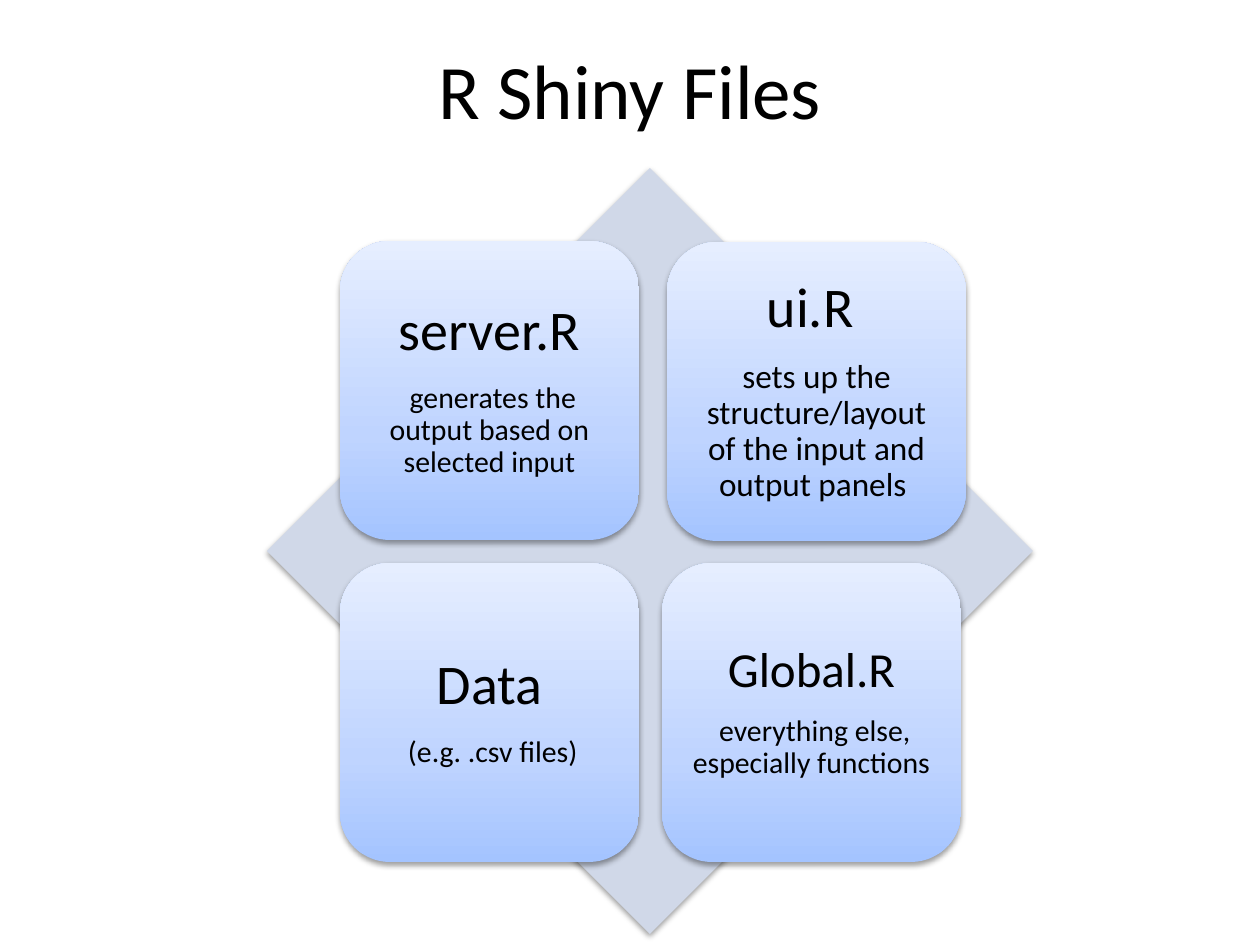
from copy import deepcopy

from lxml import etree
from pptx import Presentation
from pptx.dml.color import RGBColor
from pptx.enum.shapes import MSO_SHAPE
from pptx.enum.text import MSO_ANCHOR, PP_ALIGN
from pptx.oxml.ns import qn
from pptx.util import Inches, Pt

DIAMOND = MSO_SHAPE.DIAMOND
ROUNDED = MSO_SHAPE.ROUNDED_RECTANGLE
MIDDLE = MSO_ANCHOR.MIDDLE
CENTER = PP_ALIGN.CENTER

BLACK = RGBColor(0x00, 0x00, 0x00)
PALE_BLUE = RGBColor(0xD0, 0xD8, 0xE8)
CARD_STOPS = [
    (0, RGBColor(0xA4, 0xC4, 0xFF)),
    (0.35, RGBColor(0xBF, 0xD4, 0xFF)),
    (1, RGBColor(0xE6, 0xEE, 0xFF)),
]

PX = Inches(1) / 126
CARD_SIZE = 299
CARDS = [
    (340, 241, 16, "server.R", 32, " generates the output based on selected input", 17),
    (667, 242, 16, "ui.R ", 32, "sets up the structure/layout of the input and output panels ", 19),
    (340, 563, 16, "Data", 32, " (e.g. .csv files)", 17),
    (662, 563, 15, "Global.R", 28, " everything else, especially functions ", 17),
]


def px(n):
    return round(n * PX)


def set_attrs(obj, values):
    for name, value in values.items():
        setattr(obj, name, value)


class SlideBuilder:
    font = "Calibri"
    color = BLACK

    def __init__(self, prs):
        self.s = prs.slides.add_slide(prs.slide_layouts[5])

    def place(self, sp, x, y, w, h):
        set_attrs(sp, {"left": px(x), "top": px(y), "width": px(w), "height": px(h)})

    def frame(self, tf, inset):
        margins = ("margin_left", "margin_top", "margin_right", "margin_bottom")
        set_attrs(tf, {"word_wrap": True, "vertical_anchor": MIDDLE})
        set_attrs(tf, dict.fromkeys(margins, px(inset)))

    def add_text(self, p, text, size, **layout):
        set_attrs(p, {"alignment": CENTER, **layout})
        r = p.add_run()
        r.text = text
        set_attrs(r.font, {"name": self.font, "size": Pt(size)})
        r.font.color.rgb = self.color

    def title(self, text, x, y, w, h):
        sp = self.s.shapes.title
        self.place(sp, x, y, w, h)
        self.frame(sp.text_frame, 6)
        self.add_text(sp.text_frame.paragraphs[0], text, 44)

    def shadow(self, sp):
        sp.shadow.inherit = False
        effects = sp._element.spPr.find(qn("a:effectLst"))
        outer = etree.SubElement(
            effects, qn("a:outerShdw"), blurRad="40000", dist="20000", dir="5400000", rotWithShape="0"
        )
        clr = etree.SubElement(outer, qn("a:srgbClr"), val=str(BLACK))
        etree.SubElement(clr, qn("a:alpha"), val="38000")

    def shape(self, kind, x, y, size):
        sp = self.s.shapes.add_shape(kind, px(x), px(y), px(size), px(size))
        sp.line.fill.background()
        self.shadow(sp)
        return sp

    def diamond(self, x, y, size):
        sp = self.shape(DIAMOND, x, y, size)
        sp.fill.solid()
        sp.fill.fore_color.rgb = PALE_BLUE

    def gradient(self, sp):
        sp.fill.gradient()
        sp.fill.gradient_angle = 90
        first = sp._element.spPr.find(".//" + qn("a:gs"))
        first.addnext(deepcopy(first))
        for stop, (position, color) in zip(sp.fill.gradient_stops, CARD_STOPS):
            stop.position = position
            stop.color.rgb = color

    def card(self, x, y, inset, name, name_size, note, note_size):
        sp = self.shape(ROUNDED, x, y, CARD_SIZE)
        self.gradient(sp)
        tf = sp.text_frame
        self.frame(tf, inset)
        lines = [(tf.paragraphs[0], name, name_size), (tf.add_paragraph(), note, note_size)]
        for p, text, size in lines:
            self.add_text(p, text, size, line_spacing=0.9, space_after=Pt(0.35 * size))


def main():
    prs = Presentation()
    set_attrs(prs, {"slide_width": Inches(10), "slide_height": Inches(7.5)})
    slide = SlideBuilder(prs)
    slide.title("R Shiny Files", 63, 10, 1134, 158)
    slide.diamond(267, 168, 766)
    for card in CARDS:
        slide.card(*card)
    prs.save("out.pptx")


if __name__ == "__main__":
    main()
